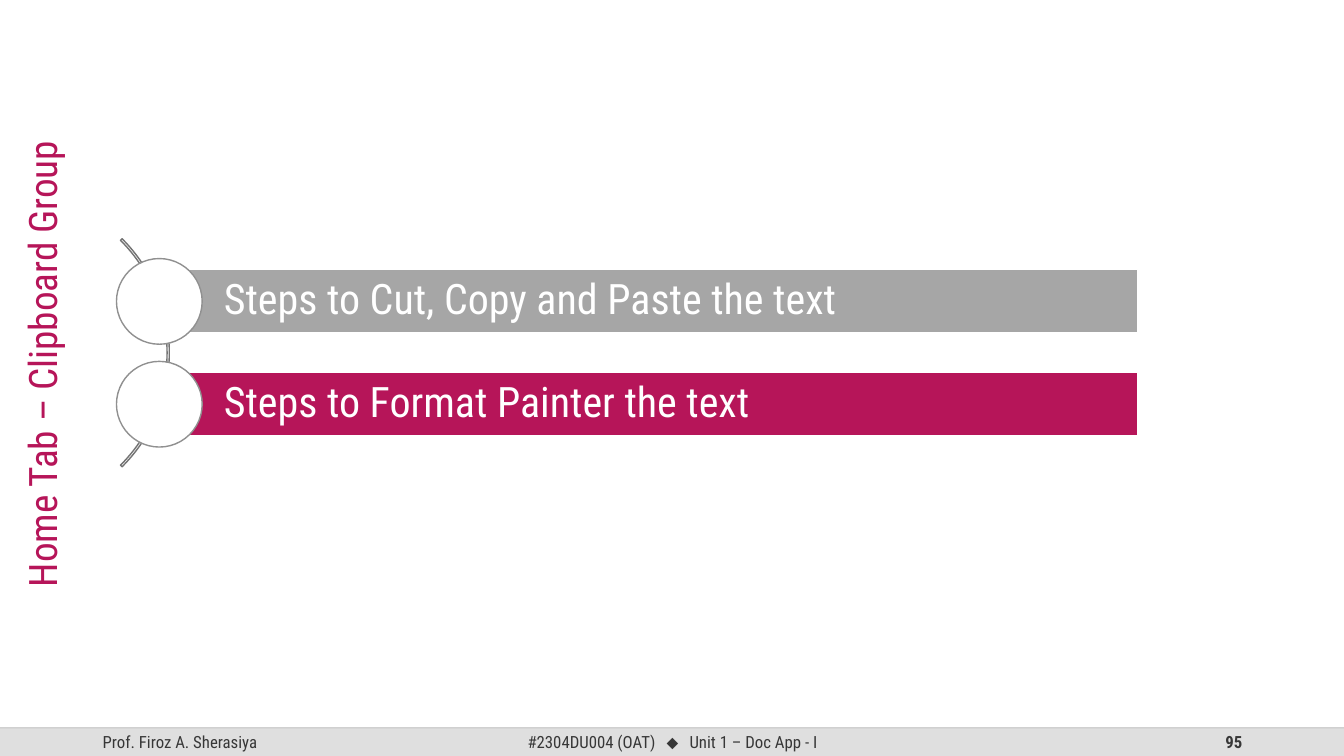
from lxml import etree
from pptx import Presentation
from pptx.dml.color import RGBColor
from pptx.enum.shapes import MSO_CONNECTOR, MSO_SHAPE as Preset
from pptx.enum.text import MSO_ANCHOR as Anchor, PP_ALIGN as Align
from pptx.oxml.ns import qn
from pptx.util import Inches, Pt

FONT = "Roboto Condensed"
COLORS = {
    "white": "FFFFFF", "grey": "A6A6A6", "magenta": "B61559",
    "arc": "737373", "ring": "909090",
    "footer": "DFDFDF", "footer text": "373737", "footer line": "BFBFBF",
}
TITLE = "Home Tab – Clipboard Group"
STEPS = [
    ("Steps to Cut, Copy and Paste the text", "grey"),
    ("Steps to Format Painter the text", "magenta"),
]
# left, width, alignment, bold, pieces of text
FOOTER = [
    (0.92, 3, Align.LEFT, False, ["Prof. Firoz A. Sherasiya"]),
    (4.42, 4.5, Align.CENTER, False,
     ["#2304DU004 (OAT)", " ", "⬥", " ", "Unit 1 – Doc App - I"]),
    (9.42, 3, Align.RIGHT, True, ["95"]),
]
SLIDE_WIDTH, SLIDE_HEIGHT = 13.33, 7.5
FOOTER_TOP, FOOTER_HEIGHT = 7.22, 0.28
ARC_CENTER_X, ARC_CENTER_Y, ARC_SIZE = 0.08, 3.5, 3.2
BAR_LEFT, BAR_WIDTH, BAR_HEIGHT = 1.68, 9.6, 0.63
STEP_PITCH, CIRCLE_SIZE, CIRCLE_CENTER_X = 1.02, 0.85, 1.58


def color(name):
    return RGBColor.from_string(COLORS[name])


def add_preset(slide, preset, box, fill=None, line=None):
    shape = slide.shapes.add_shape(preset, *map(Inches, box))
    shape.shadow.inherit = False
    if fill:
        shape.fill.solid()
        shape.fill.fore_color.rgb = color(fill)
    else:
        shape.fill.background()
    if line:
        shape.line.color.rgb = color(line)
        shape.line.width = Pt(1)
    else:
        shape.line.fill.background()
    return shape


def write(shape, pieces, size, color_name, align, anchor=Anchor.MIDDLE, bold=False):
    """Fill a shape with one paragraph of evenly styled runs."""
    frame = shape.text_frame
    frame.word_wrap = True
    frame.vertical_anchor = anchor
    paragraph = frame.paragraphs[0]
    paragraph.alignment = align
    for piece in pieces:
        run = paragraph.add_run()
        run.text = piece
        run.font.name = "Arial" if piece == "⬥" else FONT
        run.font.size = Pt(size)
        run.font.bold = bold
        run.font.color.rgb = color(color_name)
        if piece == " ":
            run.font._element.set("spc", "520")
    return paragraph


def add_footer(slide):
    add_preset(slide, Preset.RECTANGLE,
               (0, FOOTER_TOP, SLIDE_WIDTH, FOOTER_HEIGHT), "footer")
    for left, width, align, bold, pieces in FOOTER:
        box = slide.shapes.add_textbox(
            *map(Inches, (left, FOOTER_TOP, width, FOOTER_HEIGHT)))
        write(box, pieces, 12, "footer text", align, bold=bold)
    rule = slide.shapes.add_connector(
        MSO_CONNECTOR.STRAIGHT,
        *map(Inches, (0, FOOTER_TOP, SLIDE_WIDTH, FOOTER_TOP)))
    rule.line.color.rgb = color("footer line")
    rule.line.width = Pt(1)
    properties = rule._element.spPr
    etree.SubElement(properties, qn("a:effectLst"))
    line_color = next(properties.iter(qn("a:srgbClr")))
    etree.SubElement(line_color, qn("a:alpha"), val="70000")


def add_steps(slide):
    arc = add_preset(slide, Preset.BLOCK_ARC,
                     (ARC_CENTER_X - ARC_SIZE / 2, ARC_CENTER_Y - ARC_SIZE / 2,
                      ARC_SIZE, ARC_SIZE), line="arc")
    for index, value in enumerate((189, 27, 0.007)):
        arc.adjustments[index] = value
    for index, (text, fill) in enumerate(STEPS):
        center_y = ARC_CENTER_Y + (index - (len(STEPS) - 1) / 2) * STEP_PITCH
        bar = add_preset(slide, Preset.RECTANGLE,
                         (BAR_LEFT, center_y - BAR_HEIGHT / 2, BAR_WIDTH, BAR_HEIGHT),
                         fill, "white")
        paragraph = write(bar, [text], 30, "white", Align.LEFT)
        paragraph.line_spacing = 0.9
        frame = bar.text_frame
        frame.margin_left = Inches(0.54)
        frame.margin_top = frame.margin_right = frame.margin_bottom = Inches(0.08)
        add_preset(slide, Preset.OVAL,
                   (CIRCLE_CENTER_X - CIRCLE_SIZE / 2, center_y - CIRCLE_SIZE / 2,
                    CIRCLE_SIZE, CIRCLE_SIZE), "white", "ring")


def add_title(slide):
    box = slide.shapes.add_textbox(*map(Inches, (0.13, 1.17, 1.14, 4.88)))
    write(box, [TITLE], 28, "magenta", Align.CENTER, Anchor.TOP)
    box.text_frame._txBody.bodyPr.set("vert", "vert270")


def main():
    presentation = Presentation()
    presentation.slide_width = Inches(SLIDE_WIDTH)
    presentation.slide_height = Inches(SLIDE_HEIGHT)
    slide = presentation.slides.add_slide(presentation.slide_layouts[6])
    add_footer(slide)
    add_steps(slide)
    add_title(slide)
    presentation.save("out.pptx")


if __name__ == "__main__":
    main()
